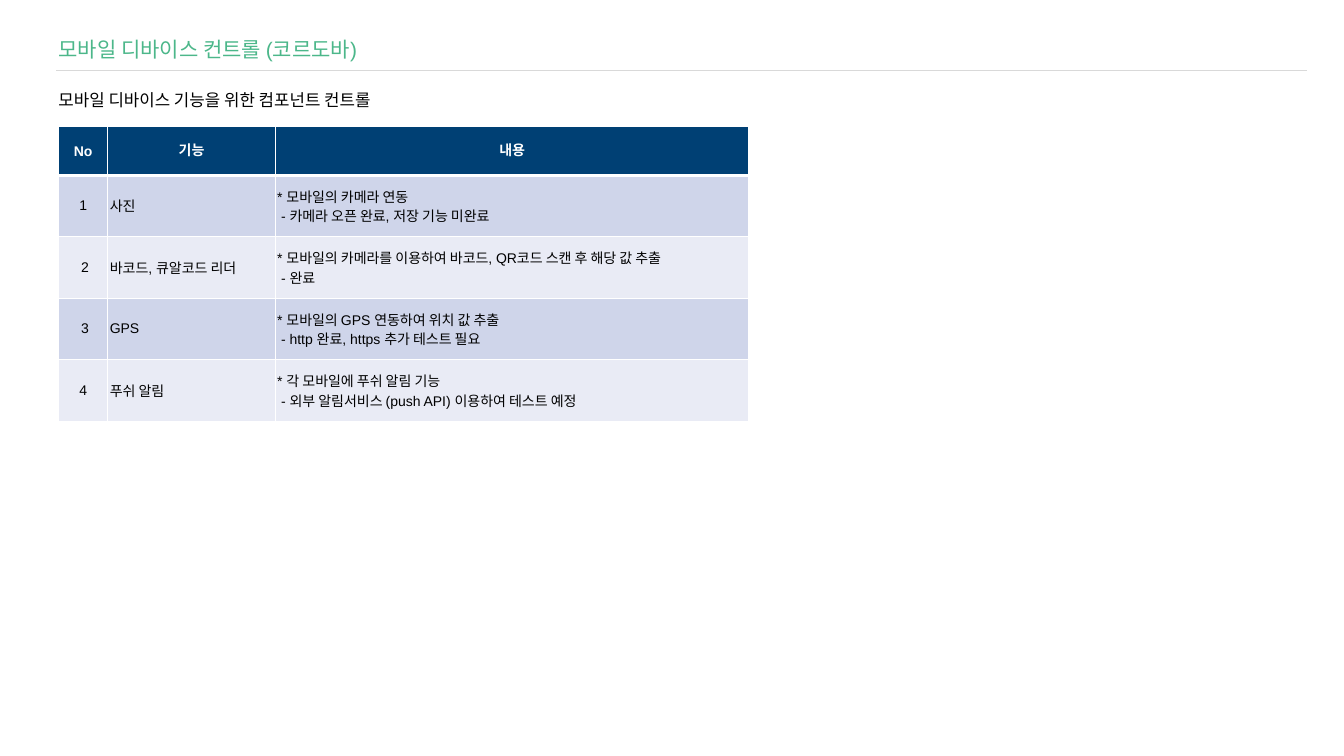
from dataclasses import dataclass

from lxml import etree
from pptx import Presentation
from pptx.dml.color import RGBColor
from pptx.enum.shapes import MSO_CONNECTOR
from pptx.enum.text import MSO_ANCHOR, MSO_AUTO_SIZE, PP_ALIGN
from pptx.oxml.ns import qn
from pptx.util import Inches, Pt

LEFT, CENTER = PP_ALIGN.LEFT, PP_ALIGN.CENTER
MIDDLE = MSO_ANCHOR.MIDDLE
GROW = MSO_AUTO_SIZE.SHAPE_TO_FIT_TEXT
STRAIGHT = MSO_CONNECTOR.STRAIGHT
TITLE_ONLY = 5


@dataclass(frozen=True)
class Theme:
    """Colours, font and type sizes of the slide."""
    font: str = "Arial"
    green: str = "4CB78A"
    black: str = "000000"
    white: str = "FFFFFF"
    navy: str = "004074"
    rule: str = "D9D9D9"
    bands: tuple = ("CFD5EA", "E9EBF5")
    title: int = 15
    lead: int = 12
    cell: int = 10


THEME = Theme()
COLS = (0.49, 1.66, 4.7)
HEAD_ROW, BODY_ROW = 0.49, 0.61
HEADS = ("No", "기능", "내용")
ROWS = (
    ("1", "사진", ("* 모바일의 카메라 연동", " - 카메라 오픈 완료, 저장 기능 미완료")),
    ("\u00a02", "바코드, 큐알코드 리더",
     ("* 모바일의 카메라를 이용하여 바코드, QR코드 스캔 후 해당 값 추출", " - 완료")),
    ("\u00a03", "GPS",
     ("* 모바일의 GPS 연동하여 위치 값 추출", " - http 완료, https 추가 테스트 필요")),
    ("4", "푸쉬 알림",
     ("* 각 모바일에 푸쉬 알림 기능",
      " - 외부 알림서비스 (push API) 이용하여 테스트 예정")),
)


def add_run(para, text, size, color, bold=False):
    """Add one formatted run to a paragraph."""
    run = para.add_run()
    run.text = text
    font = run.font
    font.name, font.size, font.bold = THEME.font, Pt(size), bold
    font.color.rgb = RGBColor.from_string(color)


def fill_label(shape, box, text, size, color):
    """Place a one-line label without insets in its box."""
    shape.left, shape.top, shape.width, shape.height = map(Inches, box)
    frame = shape.text_frame
    frame.margin_left = frame.margin_right = 0
    frame.margin_top = frame.margin_bottom = 0
    frame.word_wrap, frame.auto_size = False, GROW
    frame.vertical_anchor = MIDDLE
    para = frame.paragraphs[0]
    para.alignment = LEFT
    add_run(para, text, size, color)


def add_header(slide, box):
    """Build the title, the rule below it and the lead line."""
    left, top, width, _ = box
    fill_label(slide.shapes.title, (left + 0.02, top, 3.3, 0.25),
               "모바일 디바이스 컨트롤 (코르도바)", THEME.title, THEME.green)
    y = Inches(top + 0.34)
    rule = slide.shapes.add_connector(
        STRAIGHT, Inches(left), y, Inches(left + width), y)
    rule.line.color.rgb = RGBColor.from_string(THEME.rule)
    rule.line.width = Pt(0.5)
    etree.SubElement(rule._element.spPr, qn("a:effectLst"))
    lead = slide.shapes.add_textbox(0, 0, 0, 0)
    fill_label(lead, (left + 0.02, top + 0.53, 3.5, 0.2),
               "모바일 디바이스 기능을 위한 컴포넌트 컨트롤", THEME.lead, THEME.black)


def add_edges(cell, top, bottom):
    """Draw the white borders of a cell."""
    props = cell._tc.get_or_add_tcPr()
    for side, width in zip("LRTB", (1, 1, top, bottom)):
        edge = etree.SubElement(props, qn(f"a:ln{side}"), w=str(Pt(width)))
        solid = etree.SubElement(edge, qn("a:solidFill"))
        etree.SubElement(solid, qn("a:srgbClr"), val=THEME.white)


def fill_cell(cell, lines, row, col):
    """Write and format one table cell."""
    head = row == 0
    add_edges(cell, 3 if row == 1 else 1, 3 if head else 1)
    cell.fill.solid()
    tint = THEME.navy if head else THEME.bands[(row - 1) % 2]
    cell.fill.fore_color.rgb = RGBColor.from_string(tint)
    cell.vertical_anchor = MIDDLE
    cell.margin_left = cell.margin_right = Inches(0.02)
    cell.margin_top = cell.margin_bottom = Inches(0.02)
    frame = cell.text_frame
    for i, text in enumerate(lines):
        para = frame.add_paragraph() if i else frame.paragraphs[0]
        para.alignment = CENTER if head or col == 0 else LEFT
        para.line_spacing = Pt(13) if head else 0.97
        if not head and col == 2:
            props = para._p.get_or_add_pPr()
            props.set("marL", str(Inches(0.24)))
            props.set("indent", str(Inches(-0.24)))
        add_run(para, text, THEME.cell,
                THEME.white if head else THEME.black, head)


def add_grid(slide, box):
    """Build the table of device functions."""
    data = (HEADS,) + ROWS
    table = slide.shapes.add_table(
        len(data), len(COLS), *map(Inches, box)).table
    for col, width in zip(table.columns, COLS):
        col.width = Inches(width)
    for r, values in enumerate(data):
        table.rows[r].height = Inches(BODY_ROW if r else HEAD_ROW)
        for c, value in enumerate(values):
            lines = (value,) if isinstance(value, str) else value
            fill_cell(table.cell(r, c), lines, r, c)


def main():
    """Build and save the deck."""
    deck = Presentation()
    deck.slide_width, deck.slide_height = Inches(13.33), Inches(7.5)
    slide = deck.slides.add_slide(deck.slide_layouts[TITLE_ONLY])
    add_header(slide, (0.56, 0.36, 12.4, 0.73))
    add_grid(slide, (0.58, 1.25, sum(COLS), HEAD_ROW + len(ROWS) * BODY_ROW))
    deck.save("out.pptx")


main()
